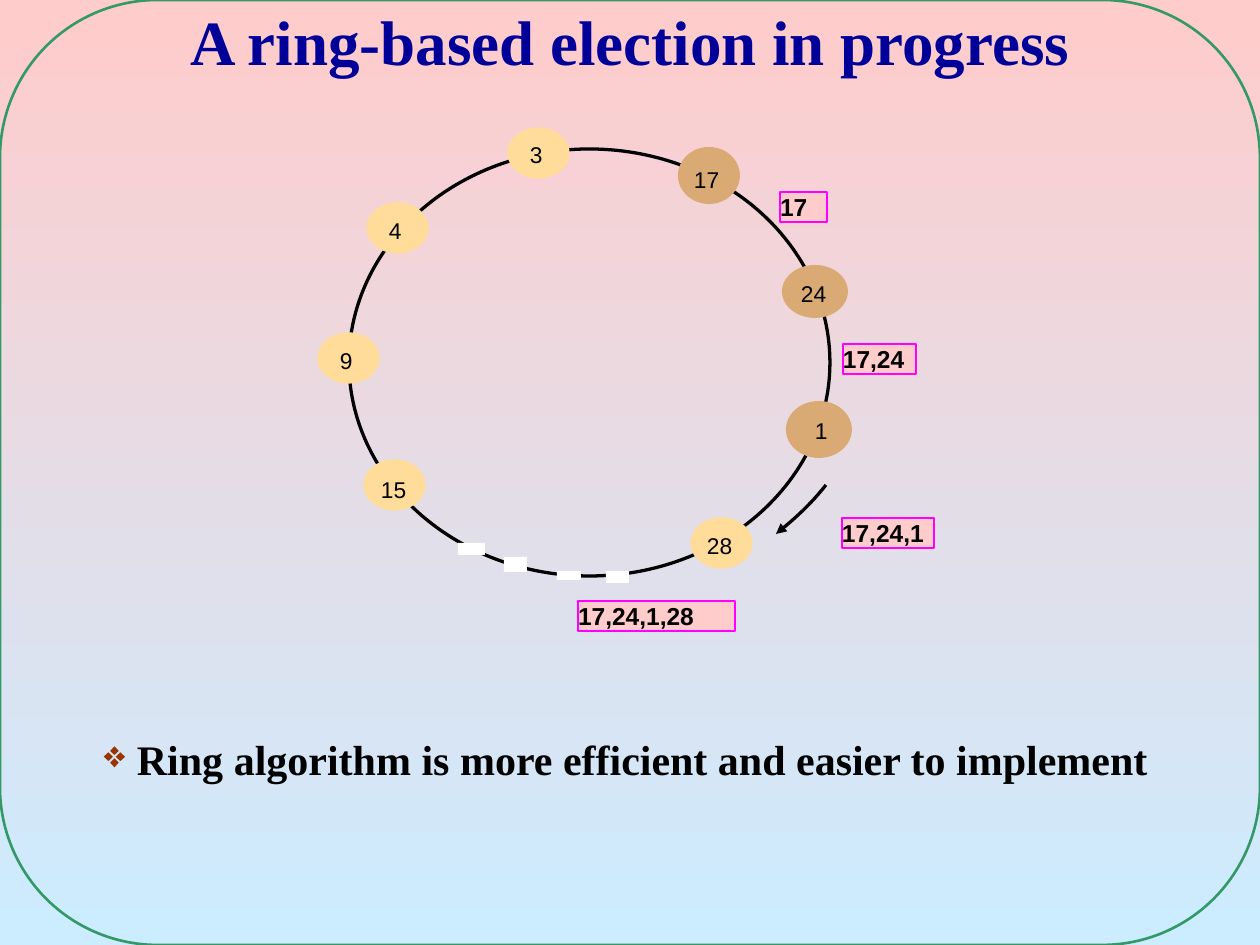
from lxml.etree import SubElement
from pptx import Presentation
from pptx.dml.color import RGBColor
from pptx.enum.shapes import MSO_SHAPE as SHAPE
from pptx.enum.text import MSO_ANCHOR as ANCHOR, MSO_AUTO_SIZE as AUTO, PP_ALIGN as ALIGN
from pptx.oxml.ns import qn
from pptx.util import Emu, Pt

PX = 914400 // 126
COLORS = {
    "top": "FFCCCC", "bottom": "CCECFF", "frame": "339966", "title": "000099",
    "ink": "000000", "idle": "FFDC99", "voted": "D9AA73", "gap": "FFFFFF",
    "message": "FFCCCC", "border": "FF00FF", "bullet": "993300",
}


def px(*values):
    return [Emu(round(v * PX)) for v in values]


def rgb(name):
    return RGBColor.from_string(COLORS[name])


def paint(sp, fill=None, line=None, width=1.88):
    sp.shadow.inherit = False
    if fill:
        sp.fill.solid()
        sp.fill.fore_color.rgb = rgb(fill)
    else:
        sp.fill.background()
    if line:
        sp.line.color.rgb = rgb(line)
        sp.line.width = Pt(width)
    else:
        sp.line.fill.background()


def add_preset(s, kind, box, **style):
    sp = s.shapes.add_shape(kind, *px(*box))
    paint(sp, **style)
    return sp


def write(sp, text, size, font="Arial", color="ink", bold=False, align=ALIGN.LEFT,
          anchor=ANCHOR.TOP, wrap=True, margins=(0, 0, 0, 0)):
    tf = sp.text_frame
    tf.auto_size = AUTO.NONE
    tf.word_wrap = wrap
    tf.vertical_anchor = anchor
    tf.margin_left, tf.margin_top, tf.margin_right, tf.margin_bottom = px(*margins)
    p = tf.paragraphs[0]
    p.alignment = align
    r = p.add_run()
    r.text = text
    r.font.name, r.font.size, r.font.bold = font, Pt(size), bold
    r.font.color.rgb = rgb(color)
    return p


def add_backdrop(s, box):
    fill = s.background.fill
    fill.gradient()
    fill.gradient_angle = 270
    for stop, position, name in zip(fill.gradient_stops, (0, 1), ("top", "bottom")):
        stop.position = position
        stop.color.rgb = rgb(name)
    frame = add_preset(s, SHAPE.ROUNDED_RECTANGLE, box, line="frame", width=1.5)
    frame.adjustments[0] = 0.167


def add_title(s, box):
    sp = s.shapes.title
    sp.left, sp.top, sp.width, sp.height = px(*box)
    write(sp, "A ring-based election in progress", 36, font="Times New Roman",
          color="title", bold=True, align=ALIGN.CENTER, anchor=ANCHOR.BOTTOM,
          margins=(13, 6, 13, 6))


def add_node(s, box, number, label, fill):
    x, y, w, h = box
    add_preset(s, SHAPE.OVAL, box, fill=fill, line="idle" if fill == "idle" else None)
    sp = s.shapes.add_textbox(*px(x + label[0], y + label[1], 13 * len(number), 28))
    write(sp, number, 13, wrap=False)


def add_direction(s, x, y):
    start, c1, c2, end = (50, 0), (36, 18), (20, 33), (0, 49)
    steps = 12
    points = []
    for i in range(steps + 1):
        t = i / steps
        weights = ((1 - t) ** 3, 3 * t * (1 - t) ** 2, 3 * t * t * (1 - t), t ** 3)
        points.append(px(*(o + sum(k * c[axis] for k, c in zip(weights, (start, c1, c2, end)))
                           for axis, o in enumerate((x, y)))))
    builder = s.shapes.build_freeform(*points[0])
    builder.add_line_segments(points[1:], close=False)
    sp = builder.convert_to_shape()
    paint(sp, line="ink")
    SubElement(sp.line._get_or_add_ln(), qn("a:tailEnd"), type="triangle", w="med", len="med")


def add_ring(s, box):
    x, y, w, h = box
    add_preset(s, SHAPE.OVAL, box, line="ink")
    for dx, dy, gw, gh in ((109, 394, 27, 12), (155, 408, 23, 15),
                           (208, 422, 24, 9), (257, 422, 23, 12)):
        add_preset(s, SHAPE.RECTANGLE, (x + dx, y + dy, gw, gh), fill="gap")
    idle, voted = (59, 48), (66, 57)
    nodes = (
        ("3", 160, -20, idle, (21, 12), "idle"),
        ("4", 19, 55, idle, (21, 13), "idle"),
        ("9", -30, 185, idle, (21, 13), "idle"),
        ("15", 16, 312, idle, (16, 15), "idle"),
        ("28", 343, 370, idle, (15, 13), "idle"),
        ("17", 329, -2, (62, 57), (16, 19), "voted"),
        ("24", 433, 116, (66, 53), (19, 15), "voted"),
        ("1", 437, 252, voted, (29, 16), "voted"),
    )
    for number, dx, dy, size, label, fill in nodes:
        add_node(s, (x + dx, y + dy, *size), number, label, fill)
    add_direction(s, x + 427, y + 336)
    for text, dx, dy, mw in (("17", 431, 43, 47), ("17,24", 494, 195, 73),
                             ("17,24,1", 493, 369, 92), ("17,24,1,28", 229, 452, 157)):
        sp = add_preset(s, SHAPE.RECTANGLE, (x + dx, y + dy, mw, 30),
                        fill="message", line="border", width=0.75)
        write(sp, text, 14, bold=True)


def add_remark(s, box):
    sp = s.shapes.add_textbox(*px(*box))
    p = write(sp, "Ring algorithm is more efficient and easier to implement", 24,
              font="Times New Roman", bold=True, margins=(13, 6, 0, 6))
    p.line_spacing = 1.3
    p.space_before = Pt(4)
    pPr = p._p.get_or_add_pPr()
    indent = px(33)[0]
    pPr.set("marL", str(indent))
    pPr.set("indent", str(-indent))
    SubElement(SubElement(pPr, qn("a:buClr")), qn("a:srgbClr"), val=COLORS["bullet"])
    SubElement(pPr, qn("a:buSzPct"), val="90000")
    SubElement(pPr, qn("a:buChar"), char="\u2756")


prs = Presentation()
prs.slide_width, prs.slide_height = px(1260, 945)
s = prs.slides.add_slide(prs.slide_layouts[5])
add_backdrop(s, (0, 0, 1260, 945))
add_title(s, (0, 0, 1260, 84))
add_ring(s, (349, 149, 481, 427))
add_remark(s, (91, 712, 1072, 78))
prs.save("out.pptx")
